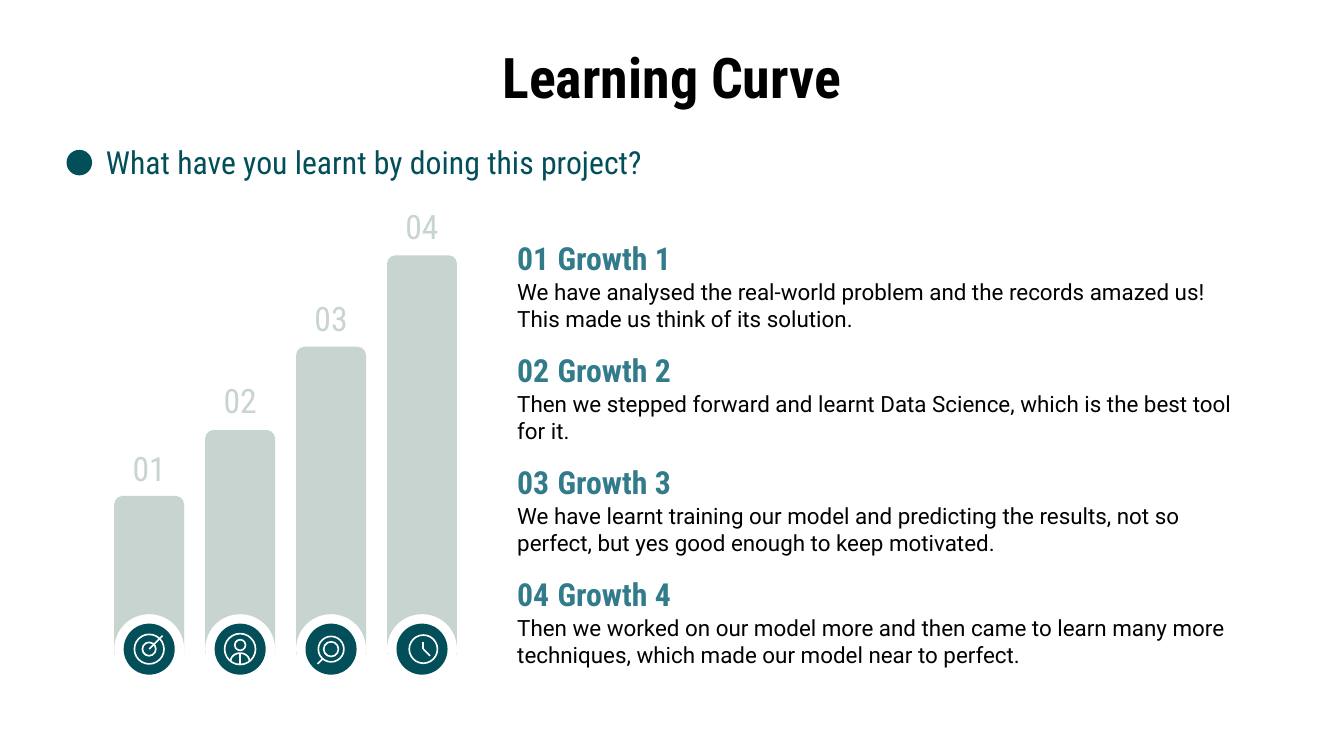
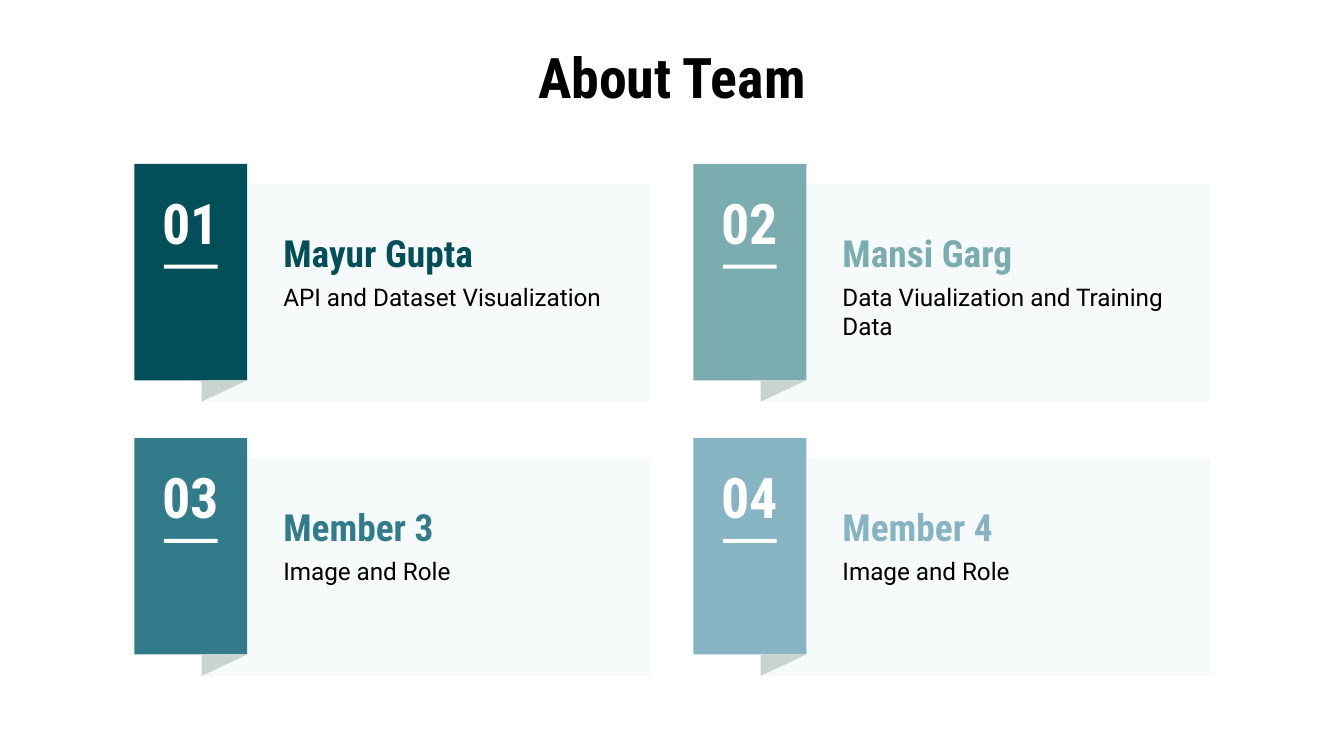
import math

from pptx import Presentation
from pptx import util as u
from pptx.dml.color import RGBColor
from pptx.enum import shapes, text
from pptx.oxml.ns import qn

# Shared look
SLIDE_WIDTH = 10
SLIDE_HEIGHT = SLIDE_WIDTH * 9 / 16
TEAL, STEEL, SAGE, SKY = "024F59", "327B8A", "7BACB0", "86B4C2"
GREY, PALE, WHITE, BLACK = "C7D4CF", "F7FAFB", "FFFFFF", "000000"
HEAD_FONT, BODY_FONT = "Roboto Condensed", "Roboto"
ICON_LINE = 0.88

# Slide 1 content: bar top, icon drawing and text are matched by position
BAR_TOPS = [3.69, 3.2, 2.58, 1.9]
LABEL_TOPS = [3.23, 2.73, 2.12, 1.43]
BAR_LEFT, BAR_STEP, BAR_WIDTH, BAR_BOTTOM = 0.85, 2.03 / 3, 0.52, 4.87
BADGE_Y = 4.83
LESSONS = [
    "We have analysed the real-world problem and the records amazed us!\n"
    "This made us think of its solution.",
    "Then we stepped forward and learnt Data Science, which is the best tool for it.",
    "We have learnt training our model and predicting the results, not so perfect, "
    "but yes good enough to keep motivated.",
    "Then we worked on our model more and then came to learn many more techniques, "
    "which made our model near to perfect.",
]

# Slide 2 content
MEMBERS = [
    ("Mayur Gupta", "API and Dataset Visualization", TEAL),
    ("Mansi Garg", "Data Viualization and Training Data", SAGE),
    ("Member 3", "Image and Role", STEEL),
    ("Member 4", "Image and Role", SKY),
]
CARD_LEFTS, CARD_TOPS = [1, 5.16], [1.22, 3.26]


def rgb(hex_code):
    return RGBColor.from_string(hex_code)


def paint(shape, fill=None, line=None):
    """Fill and outline a shape; None leaves that part empty."""
    shape.shadow.inherit = False
    if fill:
        shape.fill.solid()
        shape.fill.fore_color.rgb = rgb(fill)
    else:
        shape.fill.background()
    if line:
        shape.line.color.rgb = rgb(line)
        shape.line.width = u.Pt(ICON_LINE)
    else:
        shape.line.fill.background()


def add_block(slide, kind, left, top, width, height, fill):
    block = slide.shapes.add_shape(kind, *map(u.Inches, (left, top, width, height)))
    paint(block, fill)
    return block


def add_circle(slide, x, y, diameter, fill=None, line=None):
    circle = slide.shapes.add_shape(
        shapes.MSO_SHAPE.OVAL, u.Inches(x - diameter / 2), u.Inches(y - diameter / 2),
        u.Inches(diameter), u.Inches(diameter))
    paint(circle, fill, line)


def add_outline(slide, points, fill=None, line=None):
    """Draw a polygon when filled, or an open path when only lined."""
    start, *rest = [(u.Inches(x), u.Inches(y)) for x, y in points]
    builder = slide.shapes.build_freeform(*start)
    builder.add_line_segments(rest, close=fill is not None)
    paint(builder.convert_to_shape(), fill, line)


def add_stroke(slide, x1, y1, x2, y2):
    stroke = slide.shapes.add_connector(
        shapes.MSO_CONNECTOR.STRAIGHT, *map(u.Inches, (x1, y1, x2, y2)))
    stroke.line.color.rgb = rgb(WHITE)
    stroke.line.width = u.Pt(ICON_LINE)
    properties = stroke._element.spPr
    properties.append(properties.makeelement(qn("a:effectLst"), {}))


def add_text(slide, words, left, top, width, height, size, color,
             font=HEAD_FONT, bold=False, centred=False):
    frame = slide.shapes.add_textbox(
        *map(u.Inches, (left, top, width, height))).text_frame
    frame.word_wrap = True
    frame.vertical_anchor = text.MSO_ANCHOR.TOP
    frame.margin_left = frame.margin_right = u.Inches(0.1)
    frame.margin_top = frame.margin_bottom = u.Inches(0.1)
    frame.text = words
    for paragraph in frame.paragraphs:
        paragraph.alignment = text.PP_ALIGN.CENTER if centred else text.PP_ALIGN.LEFT
        paragraph.font.name = font
        paragraph.font.size = u.Pt(size)
        paragraph.font.bold = bold
        paragraph.font.color.rgb = rgb(color)


def add_title(slide, words):
    add_text(slide, words, 2.53, 0.22, 4.94, 0.68, 30, BLACK, bold=True, centred=True)


# Icons, each centred on x, y
def draw_target(slide, x, y):
    for diameter in (0.22, 0.1):
        add_circle(slide, x, y, diameter, line=WHITE)
    add_stroke(slide, x, y, x + 0.1, y - 0.1)


def draw_person(slide, x, y):
    add_circle(slide, x, y - 0.03, 0.08, line=WHITE)
    angles = [math.pi * step / 12 for step in range(13)]
    shoulders = [(x - 0.07 * math.cos(a), y + 0.09 - 0.06 * math.sin(a)) for a in angles]
    add_outline(slide, shoulders, line=WHITE)
    add_circle(slide, x, y, 0.23, line=WHITE)
    add_stroke(slide, x, y + 0.12, x, y + 0.03)


def draw_magnifier(slide, x, y):
    for diameter in (0.19, 0.11):
        add_circle(slide, x, y, diameter, line=WHITE)
    add_stroke(slide, x - 0.1, y + 0.11, x - 0.06, y + 0.07)


def draw_clock(slide, x, y):
    add_circle(slide, x + 0.01, y, 0.21, line=WHITE)
    add_stroke(slide, x + 0.01, y, x + 0.06, y + 0.05)
    add_stroke(slide, x + 0.01, y - 0.05, x + 0.01, y)


def add_bar(slide, index, draw_icon):
    left, top = BAR_LEFT + index * BAR_STEP, BAR_TOPS[index]
    bar = add_block(slide, shapes.MSO_SHAPE.ROUND_2_SAME_RECTANGLE,
                    left, top, BAR_WIDTH, BAR_BOTTOM - top, GREY)
    bar.adjustments[0] = 0.12
    middle = left + BAR_WIDTH / 2
    add_circle(slide, middle, BADGE_Y, BAR_WIDTH, fill=WHITE)
    add_circle(slide, middle, BADGE_Y, 0.38, fill=TEAL)
    draw_icon(slide, middle, BADGE_Y)
    add_text(slide, f"{index + 1:02}", left, LABEL_TOPS[index], BAR_WIDTH, 0.38,
             18, GREY, centred=True)


def add_lesson(slide, index, lesson):
    top = 1.68 + index * 2.5 / 3
    add_text(slide, f"{index + 1:02}", 3.75, top, 0.44, 0.46, 17, STEEL, bold=True)
    add_text(slide, lesson, 3.75, top + 0.29, 5.72, 0.5, 12, BLACK, BODY_FONT)
    add_text(slide, f"Growth {index + 1}", 4.05, top, 2.19, 0.46, 17, STEEL, bold=True)


def add_member_card(slide, index, name, role, color):
    left, top = CARD_LEFTS[index % 2], CARD_TOPS[index // 2]
    tab_right, tab_bottom = left + 0.84, top + 1.61
    fold_left, panel_bottom = left + 0.5, top + 1.77
    panel_top, panel_right = top + 0.15, left + 3.84

    # Panel, number tab and its fold
    add_outline(slide, [(tab_right, panel_top), (tab_right, tab_bottom),
                        (fold_left, panel_bottom), (panel_right, panel_bottom),
                        (panel_right, panel_top)], fill=PALE)
    add_block(slide, shapes.MSO_SHAPE.RECTANGLE, left, top, 0.84, 1.61, color)
    add_outline(slide, [(fold_left, tab_bottom), (fold_left, panel_bottom),
                        (tab_right, tab_bottom)], fill=GREY)

    # Number, underline, name and role
    add_text(slide, f"{index + 1:02}", left, top + 0.08, 0.84, 0.83, 30, WHITE,
             bold=True, centred=True)
    add_block(slide, shapes.MSO_SHAPE.RECTANGLE, left + 0.22, top + 0.75, 0.4, 0.03, WHITE)
    add_text(slide, name, left + 1.01, top + 0.39, 2.65, 0.46, 20, color, bold=True)
    add_text(slide, role, left + 1.01, top + 0.78, 2.65, 0.64, 13, BLACK, BODY_FONT)


def build_learning_curve(slide):
    add_title(slide, "Learning Curve")
    add_circle(slide, 0.59, 1.21, 0.19, fill=TEAL)
    add_text(slide, "What have you learnt by doing this project?",
             0.69, 0.96, 6.54, 0.46, 17, TEAL)
    for index, icon in enumerate([draw_target, draw_person, draw_magnifier, draw_clock]):
        add_bar(slide, index, icon)
    for index, lesson in enumerate(LESSONS):
        add_lesson(slide, index, lesson)


def build_team(slide):
    add_title(slide, "About Team")
    for index, member in enumerate(MEMBERS):
        add_member_card(slide, index, *member)


def main():
    deck = Presentation()
    deck.slide_width = u.Inches(SLIDE_WIDTH)
    deck.slide_height = u.Inches(SLIDE_HEIGHT)
    blank = deck.slide_layouts[6]
    for build in (build_learning_curve, build_team):
        build(deck.slides.add_slide(blank))
    deck.save("out.pptx")


if __name__ == "__main__":
    main()
